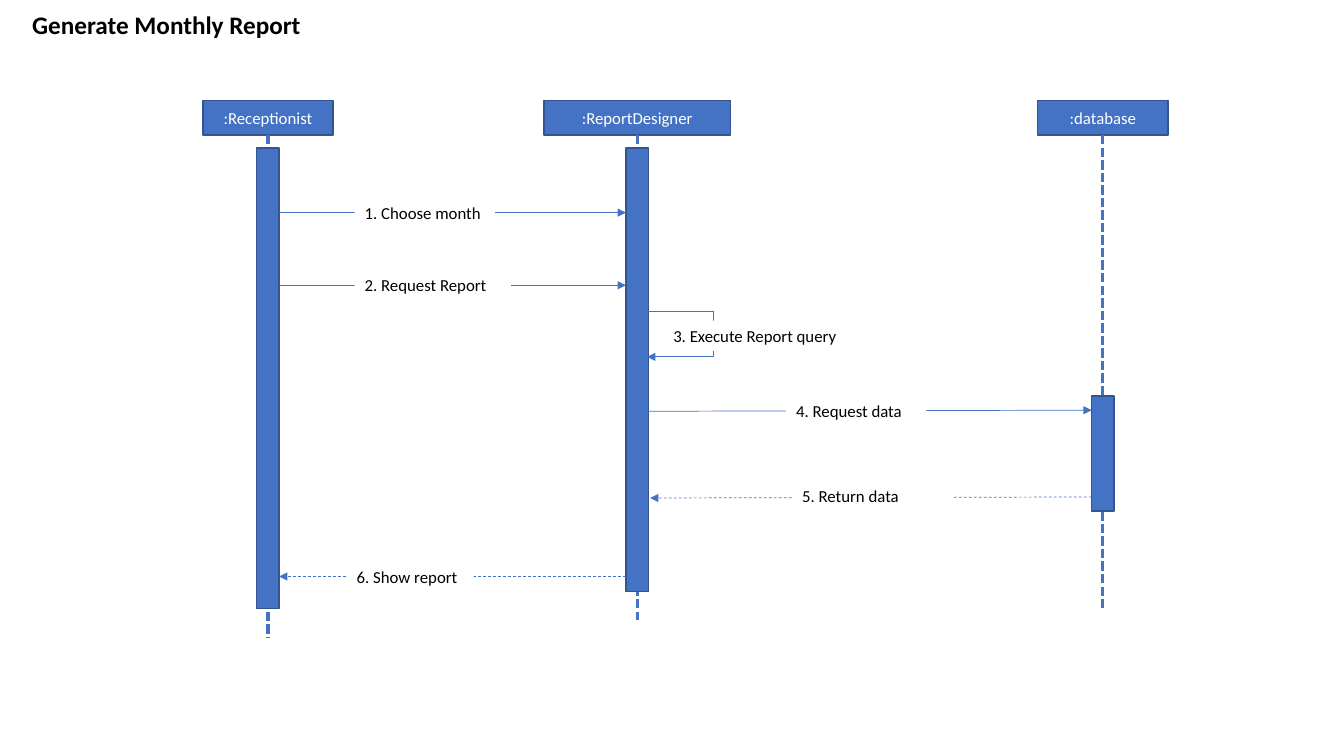
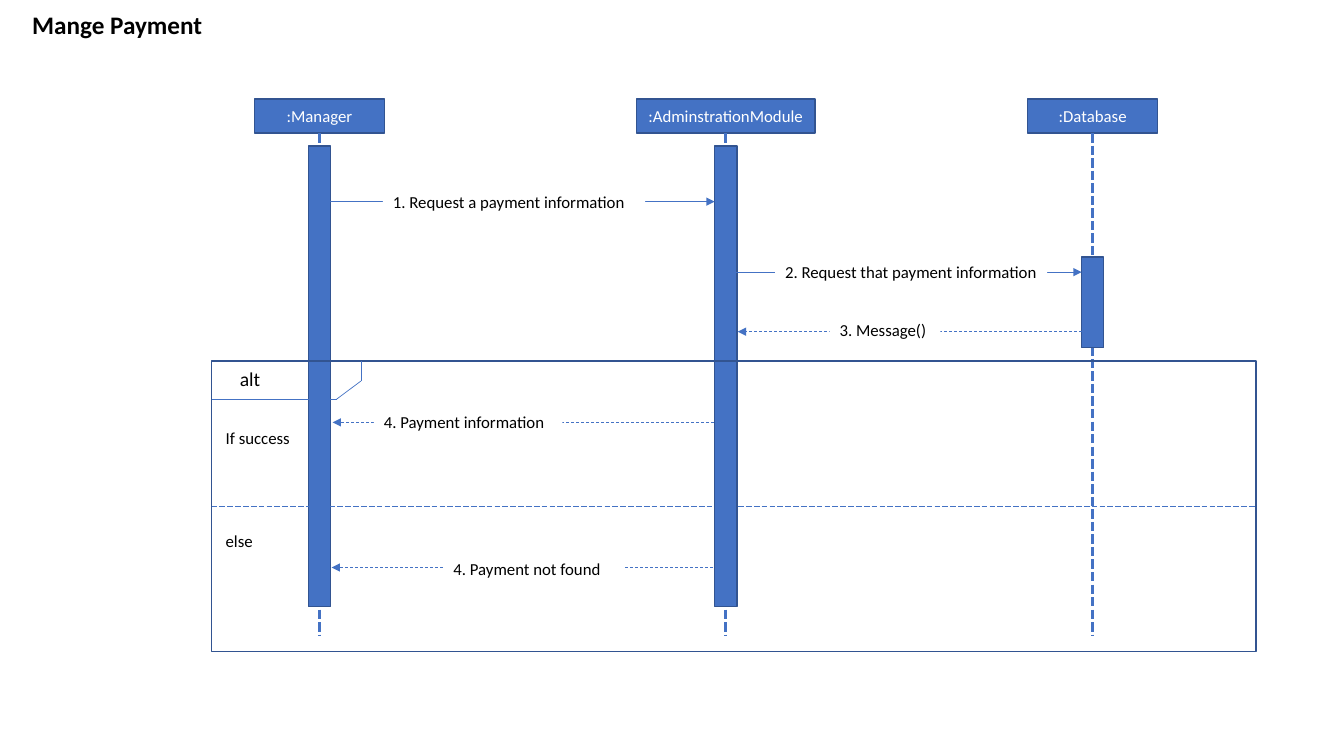
"""Build two sequence diagrams: a monthly report and a payment check."""
import pptx
import pptx.util
import pptx.dml.color
import pptx.enum.dml
import pptx.enum.shapes
import pptx.enum.text
import pptx.oxml.ns
import pptx.oxml.xmlchemy

Pt = pptx.util.Pt
Dash = pptx.enum.dml.MSO_LINE
Align = pptx.enum.text.PP_ALIGN
Anchor = pptx.enum.text.MSO_ANCHOR
Rgb = pptx.dml.color.RGBColor.from_string
make = pptx.oxml.xmlchemy.OxmlElement
qn = pptx.oxml.ns.qn

HUES = {"blue": "4472C4", "edge": "325491", "ink": "000000", "white": "FFFFFF"}
FONT = "Calibri"
HEAD = 24.5
BAR = 16
ROW = 21.6


def add_box(slide, x, y, w, h, fill=None, edge=None, text="", size=12, ink="ink", mid=False):
    box = slide.shapes.add_shape(
        pptx.enum.shapes.MSO_SHAPE.RECTANGLE, Pt(x), Pt(y), Pt(w), Pt(h))
    box.shadow.inherit = False
    if fill:
        box.fill.solid()
        box.fill.fore_color.rgb = Rgb(HUES[fill])
    else:
        box.fill.background()
    if edge:
        box.line.color.rgb = Rgb(HUES[edge])
        box.line.width = Pt(1)
    else:
        box.line.fill.background()
    if text:
        frame = box.text_frame
        frame.word_wrap = not mid
        frame.vertical_anchor = Anchor.MIDDLE if mid else Anchor.TOP
        para = frame.paragraphs[0]
        para.alignment = Align.CENTER if mid else Align.LEFT
        run = para.add_run()
        run.text = text
        run.font.name = FONT
        run.font.size = Pt(size)
        run.font.color.rgb = Rgb(HUES[ink])


def add_line(slide, x1, y1, x2, y2, dash=None, width=0.5, arrow=False):
    line = slide.shapes.add_connector(
        pptx.enum.shapes.MSO_CONNECTOR.STRAIGHT, Pt(x1), Pt(y1), Pt(x2), Pt(y2))
    line.line.color.rgb = Rgb(HUES["blue"])
    line.line.width = Pt(width)
    if dash:
        line.line.dash_style = dash
    props = line.element.spPr
    if arrow:
        tip = make("a:tailEnd")
        tip.set("type", "triangle")
        props.find(qn("a:ln")).append(tip)
    props.append(make("a:effectLst"))


report = {
    "title": "Generate Monthly Report",
    "top": 72,
    "roles": [
        (":Receptionist", 191.4, 93, 455.8, 105.8, 329),
        (":ReportDesigner", 455.2, 133.2, 442.8, 105.8, 316.8),
        (":database", 787.8, 93, 434.2, 283, 82.1),
    ],
    "loops": [(462.2, 222.5, 509.8, 254.9, "3. Execute Report query", 473.8, 229, 133.2)],
    "alts": [],
    "calls": [
        (199.4, 151.9, 447.1, 151.9, None, "1. Choose month", 253.4, 141.1, 100.1),
        (199.4, 203.8, 447.1, 203.8, None, "2. Request Report", 253.4, 193, 111.6),
        (455, 293.8, 779.8, 293, None, "4. Request data", 561.6, 283, 100.1),
        (779.8, 355, 464.4, 355.7, Dash.DASH, "5. Return data", 565.9, 343.4, 115.2),
        (447.1, 411.8, 199.4, 411.8, Dash.DASH, "6. Show report", 247.7, 401, 90.7),
    ],
}
payment = {
    "title": "Mange Payment",
    "top": 70.6,
    "roles": [
        (":Manager", 228.2, 93, 454.3, 104.4, 329),
        (":AdminstrationModule", 518.4, 127.4, 454.3, 104.4, 329),
        (":Database", 780.5, 93, 454.3, 183.6, 64.8),
    ],
    "loops": [],
    "alts": [(151.2, 257.8, 745.9, 207.4, 361.4,
              [("If success", 301.7), ("else", 375.8)])],
    "calls": [
        (228.2, 144, 510.5, 144, None, "1. Request a payment information", 273.6, 133.2, 187.2),
        (510.5, 194.4, 772.6, 194.4, None, "2. Request that payment information",
         553.7, 183.6, 194.4),
        (772.6, 236.9, 527, 236.9, Dash.DASH, "3. Message()", 592.6, 224.6, 79.2),
        (509.8, 301.7, 237.6, 301.7, Dash.DASH, "4. Payment information", 267.1, 290.2, 134.6),
        (509, 405.4, 236.9, 405.4, Dash.DASH, "4. Payment not found", 316.8, 395.3, 129.6),
    ],
}

deck = pptx.Presentation()
deck.slide_width, deck.slide_height = Pt(960), Pt(540)

for scene in (report, payment):
    slide = deck.slides.add_slide(deck.slide_layouts[5])
    title = slide.shapes.title
    title.left, title.top, title.width, title.height = Pt(15.8), Pt(2.9), Pt(273), Pt(28.8)
    title.text_frame.auto_size = pptx.enum.text.MSO_AUTO_SIZE.NONE
    title.text_frame.vertical_anchor = Anchor.TOP
    para = title.text_frame.paragraphs[0]
    para.alignment = Align.LEFT
    run = para.add_run()
    run.text = scene["title"]
    run.font.name = FONT
    run.font.size = Pt(18)
    run.font.bold = True
    run.font.color.rgb = Rgb(HUES["ink"])

    top = scene["top"]
    for name, mid, wide, end, start, tall in scene["roles"]:
        add_box(slide, mid - wide / 2, top, wide, HEAD, "blue", "edge", name,
                ink="white", mid=True)
        add_line(slide, mid, top + HEAD, mid, end, Dash.SQUARE_DOT, 2.25)
        add_box(slide, mid - BAR / 2, start, BAR, tall, "blue", "edge")

    for x, y, w, h, split, guards in scene["alts"]:
        add_box(slide, x, y, w, h, edge="edge")
        add_line(slide, x, y + 27.3, x + 89.3, y + 27.3)
        add_line(slide, x + 89.3, y + 27.3, x + 106.6, y + 14.4)
        add_line(slide, x + 106.6, y, x + 106.6, y + 14.4)
        add_box(slide, x + 13, y + 0.7, 63.4, HEAD, text="alt", size=14)
        add_line(slide, x, split, x + w, split, Dash.LONG_DASH)
        for guard, row in guards:
            add_box(slide, x + 2.9, row, 63.4, ROW, "white", text=guard)

    for x, y, far, low, text, left, row, wide in scene["loops"]:
        add_line(slide, x, y, far, y)
        add_line(slide, far, y, far, low)
        add_line(slide, far, low, x, low, arrow=True)
        add_box(slide, left, row, wide, ROW, "white", text=text)

    for x1, y1, x2, y2, dash, text, left, row, wide in scene["calls"]:
        add_line(slide, x1, y1, x2, y2, dash, arrow=True)
        add_box(slide, left, row, wide, ROW, "white", text=text)

deck.save("out.pptx")
